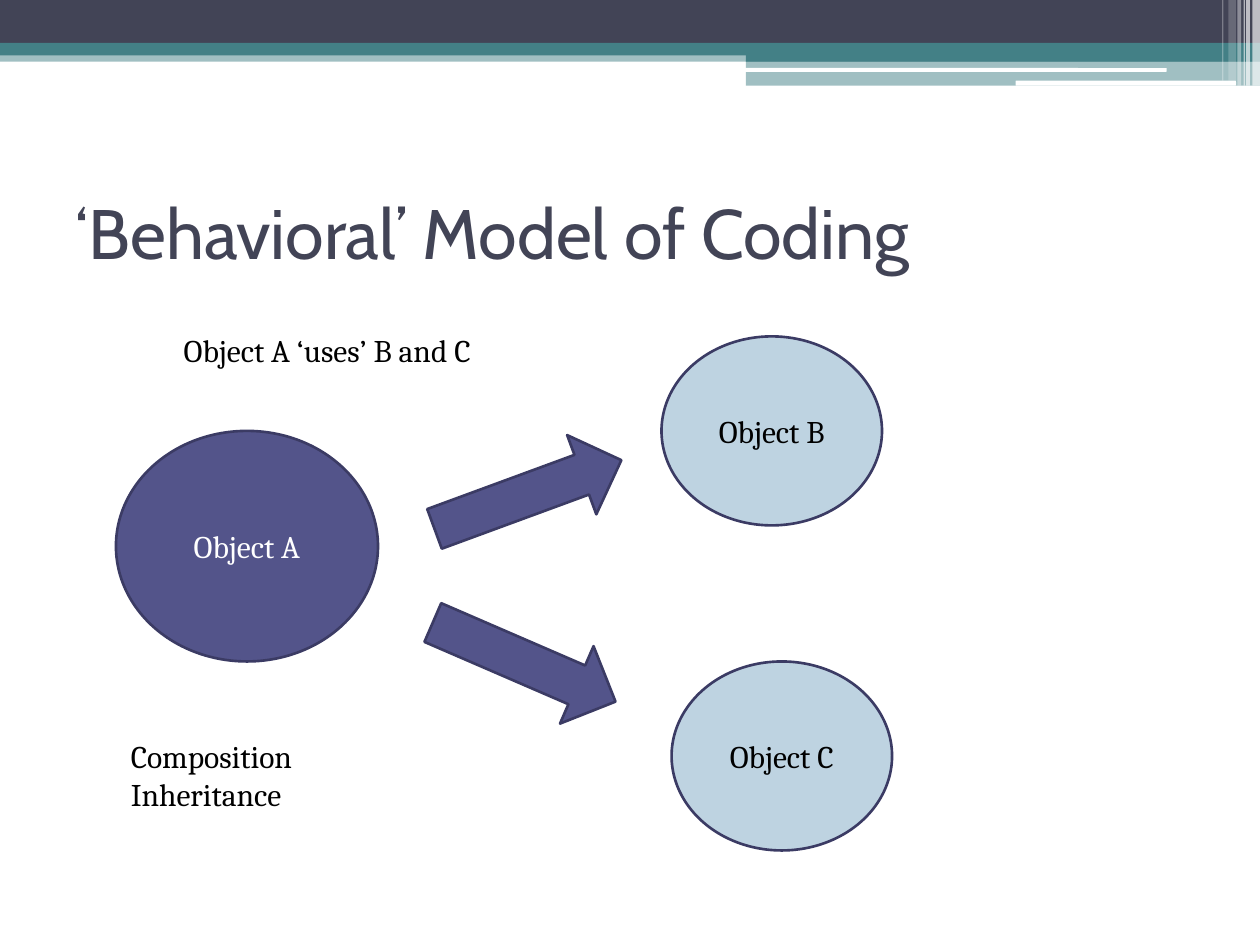
"""Build the 'Behavioral' Model of Coding slide: object A uses objects B and C."""
from lxml import etree
from pptx import Presentation
from pptx.dml.color import RGBColor
from pptx.enum.shapes import MSO_SHAPE
from pptx.enum.text import MSO_ANCHOR, PP_ALIGN
from pptx.oxml.ns import qn
from pptx.util import Inches, Pt


def add_filled(kind, box, fill, alpha=100, line=None):
    sp = s.shapes.add_shape(kind, *map(Inches, box))
    sp.shadow.inherit = False
    sp.fill.solid()
    sp.fill.fore_color.rgb = RGBColor.from_string(fill)
    if alpha < 100:
        clr = sp.fill._xPr.find(f"{qn('a:solidFill')}/{qn('a:srgbClr')}")
        etree.SubElement(clr, qn("a:alpha"), val=str(alpha * 1000))
    if line:
        sp.line.color.rgb = RGBColor.from_string(line)
        sp.line.width = Pt(1.5)
    else:
        sp.line.fill.background()
    return sp


def write(tf, text, color, size=18, font="Cambria", align=PP_ALIGN.LEFT):
    tf.text = text
    for p in tf.paragraphs:
        p.alignment = align
        for r in p.runs:
            r.font.size = Pt(size)
            r.font.name = font
            r.font.color.rgb = RGBColor.from_string(color)


SLATE, TEAL, WHITE, BLACK = "424456", "438086", "FFFFFF", "000000"
PURPLE, PALE, OUTLINE = "53548A", "BED3E1", "3B3B64"

prs = Presentation()
prs.slide_width, prs.slide_height = Inches(10), Inches(7.5)
s = prs.slides.add_slide(prs.slide_layouts[5])

for box, color, alpha in [
    ((0, 0.4, 10, 0.09), TEAL, 50),
    ((0, 0, 10, 0.34), SLATE, 100),
    ((0, 0.34, 10, 0.1), TEAL, 100),
    ((5.92, 0.39, 4.08, 0.1), TEAL, 100),
    ((5.92, 0.48, 4.08, 0.2), TEAL, 50),
]:
    add_filled(MSO_SHAPE.RECTANGLE, box, color, alpha)

for box in [(5.91, 0.54, 3.35, 0.03), (8.06, 0.64, 1.75, 0.04)]:
    add_filled(MSO_SHAPE.ROUNDED_RECTANGLE, box, WHITE)

for left, width, height, alpha in [
    (9.94, 0.06, 0.68, 65),
    (9.89, 0.03, 0.68, 65),
    (9.87, 0.01, 0.68, 60),
    (9.82, 0.03, 0.68, 40),
    (9.75, 0.06, 0.64, 20),
    (9.7, 0.01, 0.64, 30),
]:
    add_filled(MSO_SHAPE.RECTANGLE, (left, 0, width, height), WHITE, alpha)

title = s.shapes.title
title.left, title.top = Inches(0.5), Inches(1.25)
title.width, title.height = Inches(9), Inches(1.17)
title.text_frame.vertical_anchor = MSO_ANCHOR.MIDDLE
write(title.text_frame, "‘Behavioral’ Model of Coding", SLATE, 40, "Cabin")

for name, box, fill, color in [
    ("Object A", (0.92, 3.42, 2.08, 1.83), PURPLE, WHITE),
    ("Object B", (5.25, 2.67, 1.75, 1.5), PALE, BLACK),
    ("Object C", (5.33, 5.25, 1.75, 1.5), PALE, BLACK),
]:
    sp = add_filled(MSO_SHAPE.OVAL, box, fill, line=OUTLINE)
    sp.text_frame.vertical_anchor = MSO_ANCHOR.MIDDLE
    write(sp.text_frame, name, color, align=PP_ALIGN.CENTER)

for left, top, angle in [(3.4, 3.59, 339.8), (3.37, 4.92, 23.4)]:
    sp = add_filled(MSO_SHAPE.RIGHT_ARROW, (left, top, 1.58, 0.67), PURPLE, line=OUTLINE)
    sp.rotation = angle

for text, box in [
    ("Object A ‘uses’ B and C", (1.36, 2.58, 2.87, 0.4)),
    ("Composition\nInheritance", (0.94, 5.8, 1.7, 0.7)),
]:
    tf = s.shapes.add_textbox(*map(Inches, box)).text_frame
    tf.word_wrap = False
    write(tf, text, BLACK)

prs.save("out.pptx")
